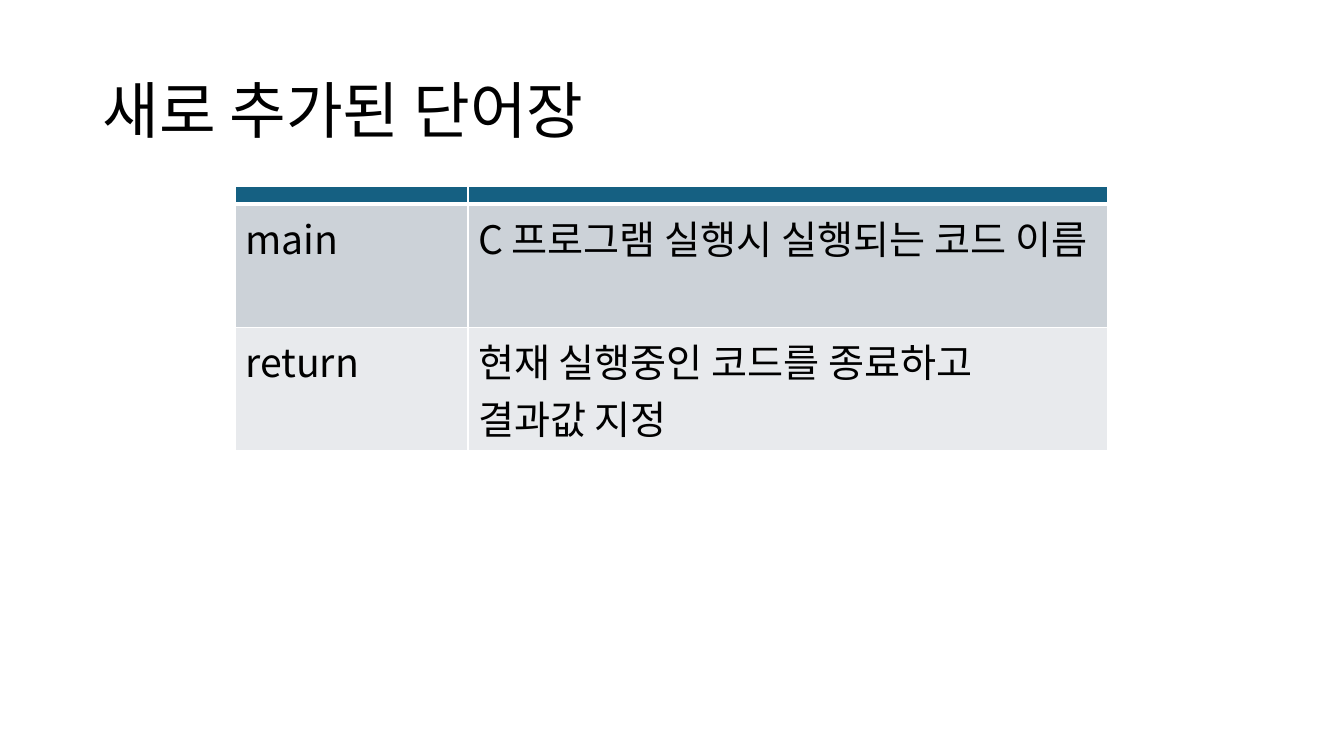
from lxml import etree
from pptx import Presentation
from pptx.dml.color import RGBColor
from pptx.enum.text import MSO_ANCHOR, PP_ALIGN
from pptx.oxml.ns import qn
from pptx.util import Pt

MIDDLE = MSO_ANCHOR.MIDDLE
LEFT = PP_ALIGN.LEFT
TITLE_ONLY = 5
FONT = "Noto Sans CJK KR"
BLACK, WHITE = "000000", "FFFFFF"
ROW_FILLS = ["156082", "CCD2D8", "E8EAED"]
COLUMN_WIDTHS = [166.3, 457.2]
ROW_HEIGHTS = [12.4, 88, 88]
WORDS = [
    ("main", ["C 프로그램 실행시 실행되는 코드 이름"]),
    ("return", ["현재 실행중인 코드를 종료하고", "결과값 지정"]),
]


def color(hex_string):
    return RGBColor.from_string(hex_string)


def add_run(paragraph, text, size):
    run = paragraph.add_run()
    run.text = text
    run.font.size = Pt(size)
    run.font.name = FONT
    run.font.bold = False
    run.font.color.rgb = color(BLACK)
    east_asian = etree.SubElement(run.font._element, qn("a:ea"))
    east_asian.set("typeface", FONT)


def add_title(slide, text):
    title = slide.shapes.title
    title.left, title.top = Pt(66), Pt(28.8)
    title.width, title.height = Pt(828), Pt(104.4)
    title.text_frame.word_wrap = True
    title.text_frame.vertical_anchor = MIDDLE
    paragraph = title.text_frame.paragraphs[0]
    paragraph.alignment = LEFT
    paragraph.line_spacing = 0.9
    add_run(paragraph, text, 44)


def set_border(cell, side, width):
    properties = cell._tc.get_or_add_tcPr()
    line = etree.SubElement(properties, qn("a:ln" + side), w=str(Pt(width)))
    fill = etree.SubElement(line, qn("a:solidFill"))
    etree.SubElement(fill, qn("a:srgbClr"), val=WHITE)


def format_cell(cell, row_index):
    """Draw the white grid, with a thick line under the header, then fill."""
    widths = {
        "L": 1,
        "R": 1,
        "T": 3 if row_index == 1 else 1,
        "B": 3 if row_index == 0 else 1,
    }
    for side, width in widths.items():
        set_border(cell, side, width)
    cell.fill.solid()
    cell.fill.fore_color.rgb = color(ROW_FILLS[row_index])


def shrink_empty_cell(cell):
    """Let the header band be lower than a line of default text."""
    cell.margin_top = cell.margin_bottom = 0
    paragraph = cell.text_frame.paragraphs[0]
    etree.SubElement(paragraph._p, qn("a:endParaRPr"), sz="100")


def write_cell(cell, lines):
    cell.margin_right = Pt(14)
    paragraph = cell.text_frame.paragraphs[0]
    for index, line in enumerate(lines):
        if index:
            paragraph.add_line_break()
        add_run(paragraph, line, 28)


def add_word_table(slide):
    frame = slide.shapes.add_table(
        len(ROW_HEIGHTS), len(COLUMN_WIDTHS), Pt(168), Pt(133.2),
        Pt(sum(COLUMN_WIDTHS)), Pt(sum(ROW_HEIGHTS)))
    table = frame.table
    for column, width in zip(table.columns, COLUMN_WIDTHS):
        column.width = Pt(width)
    for row_index, height in enumerate(ROW_HEIGHTS):
        row = table.rows[row_index]
        row.height = Pt(height)
        for cell in row.cells:
            format_cell(cell, row_index)
    for cell in table.rows[0].cells:
        shrink_empty_cell(cell)
    for row_index, (word, meaning) in enumerate(WORDS, start=1):
        write_cell(table.cell(row_index, 0), [word])
        write_cell(table.cell(row_index, 1), meaning)


def main():
    presentation = Presentation()
    presentation.slide_width, presentation.slide_height = Pt(960), Pt(540)
    slide = presentation.slides.add_slide(presentation.slide_layouts[TITLE_ONLY])
    add_title(slide, "새로 추가된 단어장")
    add_word_table(slide)
    presentation.save("out.pptx")


if __name__ == "__main__":
    main()
